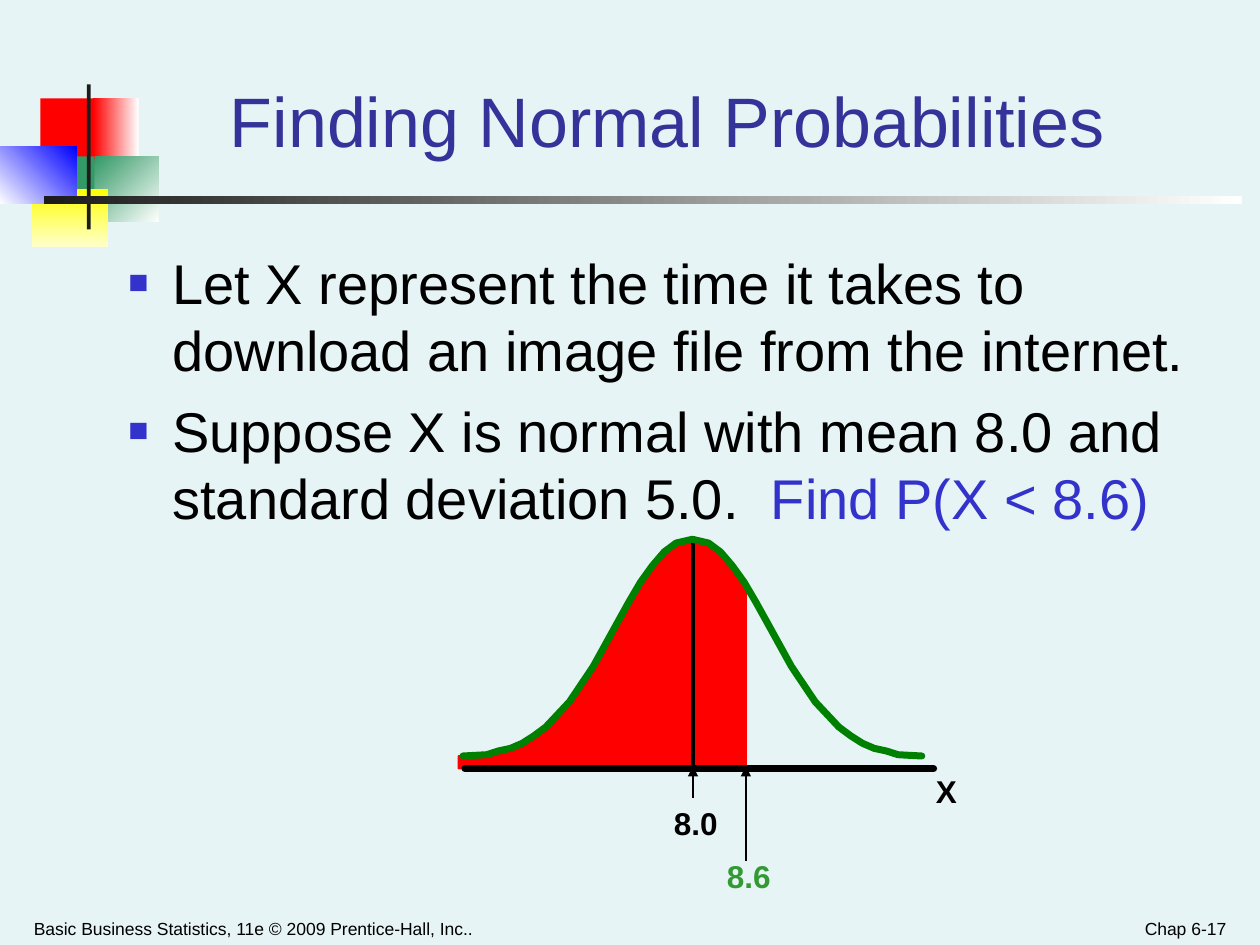
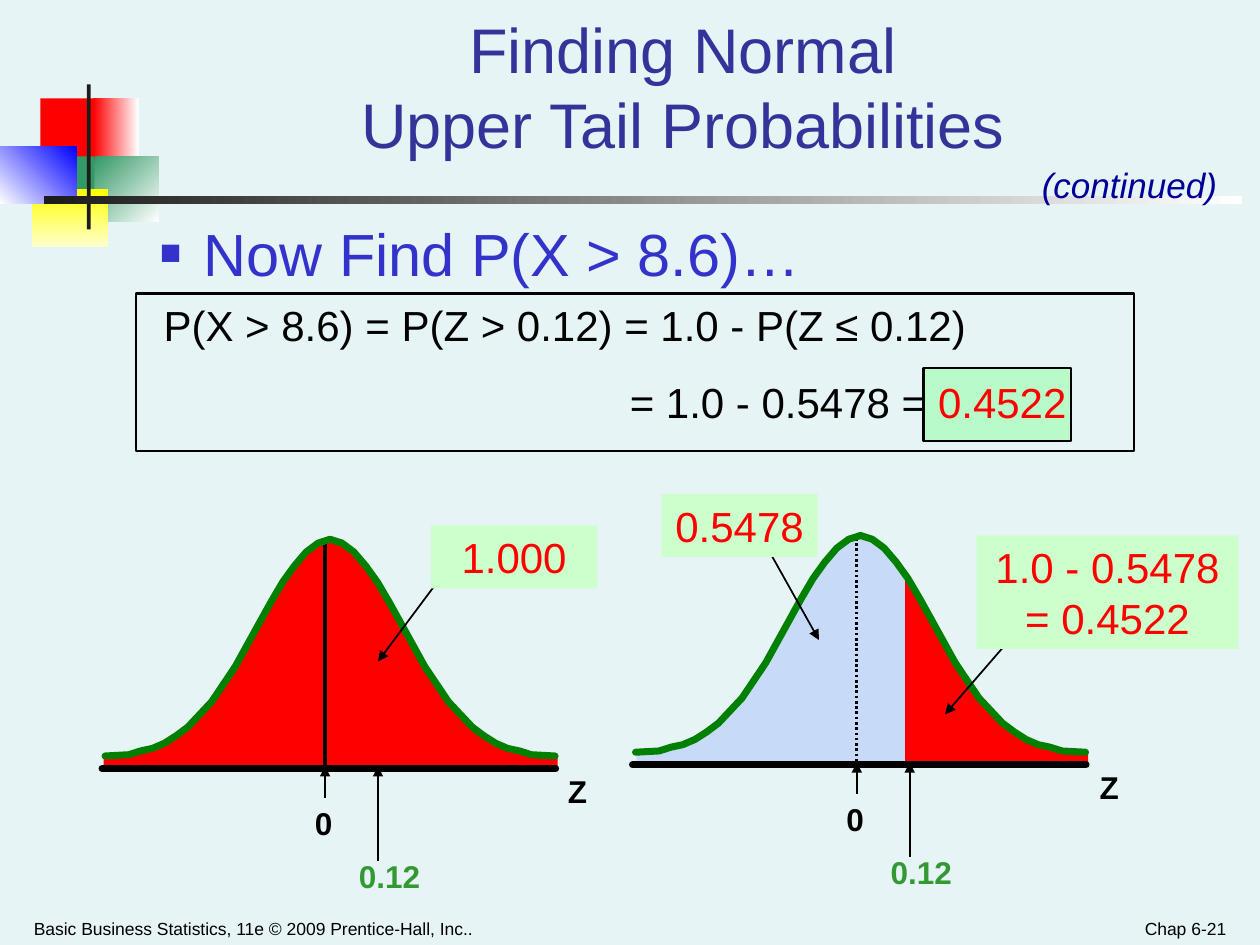
from dataclasses import dataclass

from lxml import etree
from pptx import Presentation
from pptx.dml.color import RGBColor
from pptx.enum.dml import MSO_LINE
from pptx.enum.shapes import MSO_CONNECTOR as CONN, MSO_SHAPE as SHAPE
from pptx.enum.text import MSO_ANCHOR as ANCHOR, MSO_AUTO_SIZE as AUTO, PP_ALIGN as ALIGN
from pptx.oxml.ns import qn
from pptx.util import Inches, Pt


@dataclass(frozen=True)
class Theme:
    font: str = "Arial"
    bg: str = "E7F4F5"
    title: str = "333399"
    accent: str = "3333CC"
    continued: str = "000099"
    text: str = "000000"
    ink: str = "1C1C1C"
    white: str = "FFFFFF"
    red: str = "FF0000"
    blue: str = "0000FF"
    sea: str = "339966"
    yellow: str = "FFFF00"
    cream: str = "FFFFCC"
    curve: str = "008000"
    value: str = "339933"
    below: str = "C7DAF7"
    callout: str = "CCFFCC"
    result: str = "B8FAC8"
    title_size: int = 40
    long_title_size: int = 36
    body_size: int = 32
    prompt_size: int = 34
    formula_size: int = 24
    continued_size: int = 20
    label_size: int = 18
    footer_size: int = 10


T = Theme()

# Right half of the bell: steps away from the peak, and drop below it
STEP = 0.094
STEPS = (0, 1, 2, 3, 4, 5, 6, 8, 10, 12, 13, 14, 15, 16, 17, 19)
DROPS = (0, 0.03, 0.1, 0.21, 0.34, 0.5, 0.67, 1.01, 1.29, 1.49, 1.56, 1.62,
         1.66, 1.68, 1.71, 1.72)
BELL = [(n * STEP, drop) for n, drop in zip(STEPS, DROPS)]


@dataclass
class Figure:
    """Places of one bell figure; top is the height of the peak."""
    mean_x: float
    top: float
    left_peak: float
    right_peak: float
    axis: tuple

    @property
    def base(self):
        return self.top + 1.82


# ---- basic elements ----
def rgb(color):
    return RGBColor.from_string(color)


def inches(values):
    return [Inches(v) for v in values]


def style_font(font, size, color, bold=False, italic=False):
    font.name, font.size, font.color.rgb = T.font, Pt(size), rgb(color)
    font.bold, font.italic = bold, italic


def style_line(line, color, width):
    if color is None:
        line.fill.background()
        return
    line.color.rgb, line.width = rgb(color), Pt(width)


def paint(sp, fill=None, line=None, width=1):
    sp.shadow.inherit = False
    if fill is None:
        sp.fill.background()
    else:
        sp.fill.solid()
        sp.fill.fore_color.rgb = rgb(fill)
    style_line(sp.line, line, width)


def add_rect(slide, box, fill=None, line=None, width=1):
    sp = slide.shapes.add_shape(SHAPE.RECTANGLE, *inches(box))
    paint(sp, fill, line, width)
    return sp


def add_gradient(slide, box, start, end, clockwise=0):
    sp = add_rect(slide, box, start)
    sp.fill.gradient()
    sp.fill.gradient_angle = (360 - clockwise) % 360
    for stop, color in zip(sp.fill.gradient_stops, (start, end)):
        stop.color.rgb = rgb(color)
    return sp


def round_cap(sp):
    sp.line._get_or_add_ln().set("cap", "rnd")


def add_line(slide, start, end, width=1.0, arrow=False):
    cx = slide.shapes.add_connector(CONN.STRAIGHT, *inches(start + end))
    style_line(cx.line, T.text, width)
    etree.SubElement(cx.element.spPr, qn("a:effectLst"))
    if arrow:
        etree.SubElement(cx.line._get_or_add_ln(), qn("a:tailEnd"), type="triangle")
    return cx


def add_path(slide, points, close):
    points = [inches(point) for point in points]
    builder = slide.shapes.build_freeform(*points[0])
    builder.add_line_segments(points[1:], close=close)
    return builder.convert_to_shape()


# ---- text ----
def fill_text(tf, paragraphs, size, align=ALIGN.LEFT, space=0, **font):
    """Each paragraph is a list of (text, color) runs."""
    for i, runs in enumerate(paragraphs):
        p = tf.paragraphs[0] if i == 0 else tf.add_paragraph()
        p.alignment = align
        if i:
            p.space_before = Pt(space)
        for text, color in runs:
            r = p.add_run()
            r.text = text
            style_font(r.font, size, color, **font)


def add_text(slide, box, paragraphs, size, wrap=True, **kwargs):
    tf = slide.shapes.add_textbox(*inches(box)).text_frame
    tf.word_wrap = wrap
    fill_text(tf, paragraphs, size, **kwargs)
    return tf


def set_indent(p, left, first=0):
    pPr = p._p.get_or_add_pPr()
    pPr.set("marL", str(Inches(left)))
    pPr.set("indent", str(Inches(first)))
    return pPr


def add_bullets(slide, box, paragraphs, size):
    tf = add_text(slide, box, paragraphs, size, space=8)
    for p in tf.paragraphs:
        pPr = set_indent(p, 0.35, -0.35)
        color = etree.SubElement(pPr, qn("a:buClr"))
        etree.SubElement(color, qn("a:srgbClr"), val=T.accent)
        etree.SubElement(pPr, qn("a:buSzPct"), val="60000")
        etree.SubElement(pPr, qn("a:buFont"), typeface=T.font)
        etree.SubElement(pPr, qn("a:buChar"), char="■")


def set_title(slide, text, box, size):
    sp = slide.shapes.title
    sp.left, sp.top, sp.width, sp.height = inches(box)
    tf = sp.text_frame
    tf.text = text
    tf.auto_size, tf.vertical_anchor = AUTO.NONE, ANCHOR.BOTTOM
    p = tf.paragraphs[0]
    p.alignment = ALIGN.CENTER
    for r in p.runs:
        style_font(r.font, size, T.title)


def add_footer(slide, page):
    for box, text, align in (
            ((0.17, 7.15, 5.08, 0.35),
             "Basic Business Statistics, 11e © 2009 Prentice-Hall, Inc..", ALIGN.LEFT),
            ((7.5, 7.15, 2.33, 0.35), page, ALIGN.RIGHT)):
        tf = add_text(slide, box, [[(text, T.text)]], T.footer_size, align=align)
        tf.vertical_anchor = ANCHOR.BOTTOM


def add_callout(slide, box, text, arrow_from, arrow_to):
    add_line(slide, arrow_from, arrow_to, arrow=True)
    tf = add_rect(slide, box, T.callout).text_frame
    tf.word_wrap, tf.vertical_anchor = True, ANCHOR.TOP
    fill_text(tf, [[(text, T.red)]], T.formula_size, align=ALIGN.CENTER)


# ---- bell figures ----
def drop_at(distance):
    for (x0, d0), (x1, d1) in zip(BELL, BELL[1:]):
        if distance <= x1:
            return d0 + (d1 - d0) * (distance - x0) / (x1 - x0)
    return BELL[-1][1]


def add_area(slide, fig, start, end, color):
    """Shade under the curve from start to end, on one side of the mean."""
    peak = fig.left_peak if start < fig.mean_x else fig.right_peak
    knots = [peak + sign * dx for dx, _ in BELL for sign in (-1, 1)]
    xs = [start] + sorted(x for x in knots if start < x < end) + [end]
    edge = [(x, fig.top + drop_at(abs(x - peak))) for x in xs]
    sp = add_path(slide, [(start, fig.base)] + edge + [(end, fig.base)], True)
    paint(sp, color, T.red if color == T.red else None)


def add_curve(slide, fig):
    apex = ((fig.left_peak + fig.right_peak) / 2, fig.top)
    for peak, side in ((fig.left_peak, -1), (fig.right_peak, 1)):
        points = [apex] + [(peak + side * dx, fig.top + dy) for dx, dy in BELL[1:]]
        sp = add_path(slide, points, False)
        paint(sp, line=T.curve, width=4)
        round_cap(sp)


def add_bell(slide, fig, areas, axis_name, mean, value, mean_inset=0, dotted=False):
    for area in areas:
        add_area(slide, fig, *area)
    x, base = fig.mean_x, fig.base
    mean_line = add_line(slide, (x, fig.top + 0.02), (x, base - 0.02),
                         1.5 if dotted else 2.5)
    if dotted:
        mean_line.line.dash_style = MSO_LINE.ROUND_DOT
    add_curve(slide, fig)
    round_cap(add_line(slide, (fig.axis[0], base), (fig.axis[1], base), 4))
    # Markers under the axis
    for mark_x, length in ((x, 0.23), (x + 0.42, 0.73)):
        add_line(slide, (mark_x, base + length), (mark_x, base - 0.02), arrow=True)
    for dx, dy, text, color in (
            (1.83, -0.02, axis_name, T.text),
            (-0.25 + mean_inset, 0.23, mean, T.text),
            (0.17, 0.65, value, T.value)):
        width = 0.22 + 0.14 * len(text)
        add_text(slide, (x + dx, base + dy, width, 0.4), [[(text, color)]],
                 T.label_size, wrap=False, bold=True)


# ---- shared design ----
def decorate_layout(layout, slide):
    """Draw the corner blocks and rule, then hand them to the layout."""
    parts = [
        add_rect(slide, (0.32, 0.78, 0.48, 0.52), T.red),
        add_gradient(slide, (0.74, 0.78, 0.36, 0.52), T.red, T.white),
        add_gradient(slide, (0.75, 1.24, 0.51, 0.52), T.sea, T.white, 45),
        add_rect(slide, (0.43, 1.24, 0.32, 0.52), T.sea),
        add_gradient(slide, (0.25, 1.5, 0.61, 0.46), T.yellow, T.cream, 90),
        add_gradient(slide, (0, 1.16, 0.61, 0.46), T.white, T.blue, 315),
        add_rect(slide, (0.69, 0.67, 0.03, 1.15), T.ink),
        add_gradient(slide, (0.35, 1.56, 9.51, 0.06), T.ink, T.white),
    ]
    for sp in parts:
        layout.shapes.element.append(sp.element)


# ---- slides ----
def build_normal(slide):
    set_title(slide, "Finding Normal Probabilities", (1.26, 0.25, 8.07, 1.08), T.title_size)
    add_bullets(slide, (0.92, 1.92, 8.83, 4.96), [
        [("Let X represent the time it takes to download an image file from the internet.",
          T.text)],
        [("Suppose X is normal with mean 8.0 and standard deviation 5.0.  ", T.text),
         ("Find P(X < 8.6)", T.accent)]], T.body_size)
    fig = Figure(5.5, 4.28, 5.46, 5.53, (3.69, 7.41))
    add_bell(slide, fig, [(3.64, 5.5, T.red), (5.5, 5.92, T.red)], "X", "8.0", "8.6")
    add_footer(slide, "Chap 6-17")


def build_upper_tail(slide):
    set_title(slide, "Finding Normal\vUpper Tail Probabilities",
              (1.17, 0.25, 8.5, 1.08), T.long_title_size)
    add_text(slide, (8.17, 1.25, 1.67, 0.44), [[("(continued)", T.continued)]],
             T.continued_size, italic=True)
    add_bullets(slide, (1.17, 1.67, 5.75, 0.75),
                [[("Now Find P(X > 8.6)…", T.accent)]], T.prompt_size)
    # Calculation
    add_rect(slide, (1.08, 2.33, 7.92, 1.25), line=T.text, width=1.5)
    add_rect(slide, (7.33, 2.92, 1.17, 0.58), T.result, T.text, 1.5)
    tf = add_text(slide, (0.92, 2.33, 8.42, 1.11), [
        [("P(X > 8.6) = P(Z > 0.12) = 1.0 - P(Z ≤ 0.12)", T.text)],
        [("= 1.0 - 0.5478 = ", T.text), ("0.4522", T.red)]], T.formula_size, space=15)
    for p, left in zip(tf.paragraphs, (0.28, 3.98)):
        set_indent(p, left)
    # Whole area, and area split at 0.12
    whole = Figure(2.58, 4.28, 2.62, 2.62, (0.81, 4.41))
    add_bell(slide, whole, [(0.83, 2.58, T.red), (2.58, 4.42, T.red)],
             "Z", "0", "0.12", mean_inset=0.07)
    split = Figure(6.8, 4.25, 6.83, 6.83, (5.02, 8.62))
    add_bell(slide, split, [(5.05, 6.8, T.below), (6.8, 7.19, T.below), (7.19, 8.63, T.red)],
             "Z", "0", "0.12", mean_inset=0.07, dotted=True)
    add_callout(slide, (3.42, 4.17, 1.32, 0.5), "1.000", (3.5, 4.58), (3, 5.25))
    add_callout(slide, (5.25, 3.92, 1.24, 0.5), "0.5478", (6.08, 4.33), (6.5, 5.08))
    add_callout(slide, (7.75, 4.25, 2.08, 0.9), "1.0 - 0.5478 = 0.4522", (8.08, 5), (7.5, 5.67))
    add_footer(slide, "Chap 6-21")


def main():
    prs = Presentation()
    prs.slide_width, prs.slide_height = Inches(10), Inches(7.5)
    fill = prs.slide_master.background.fill
    fill.solid()
    fill.fore_color.rgb = rgb(T.bg)
    layout = prs.slide_layouts[5]
    normal, upper_tail = (prs.slides.add_slide(layout) for _ in range(2))
    decorate_layout(layout, normal)
    build_normal(normal)
    build_upper_tail(upper_tail)
    prs.save("out.pptx")


if __name__ == "__main__":
    main()
